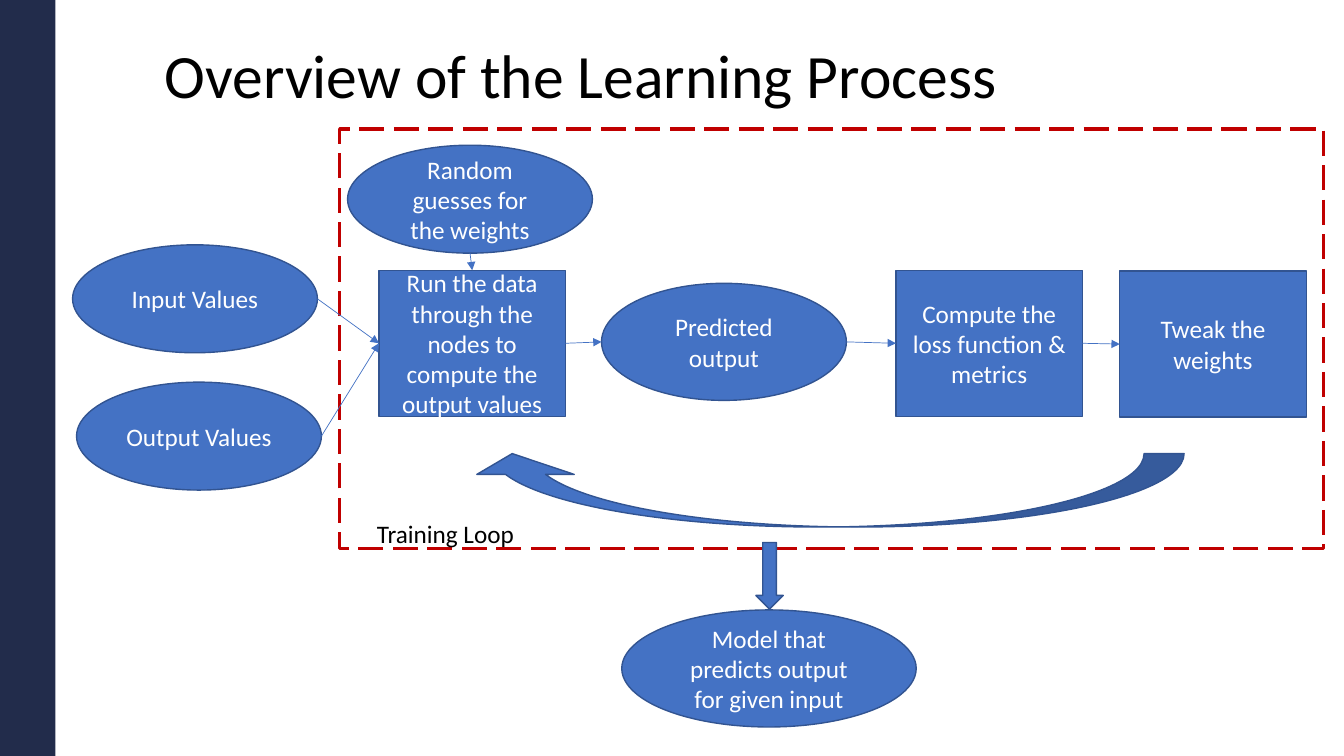
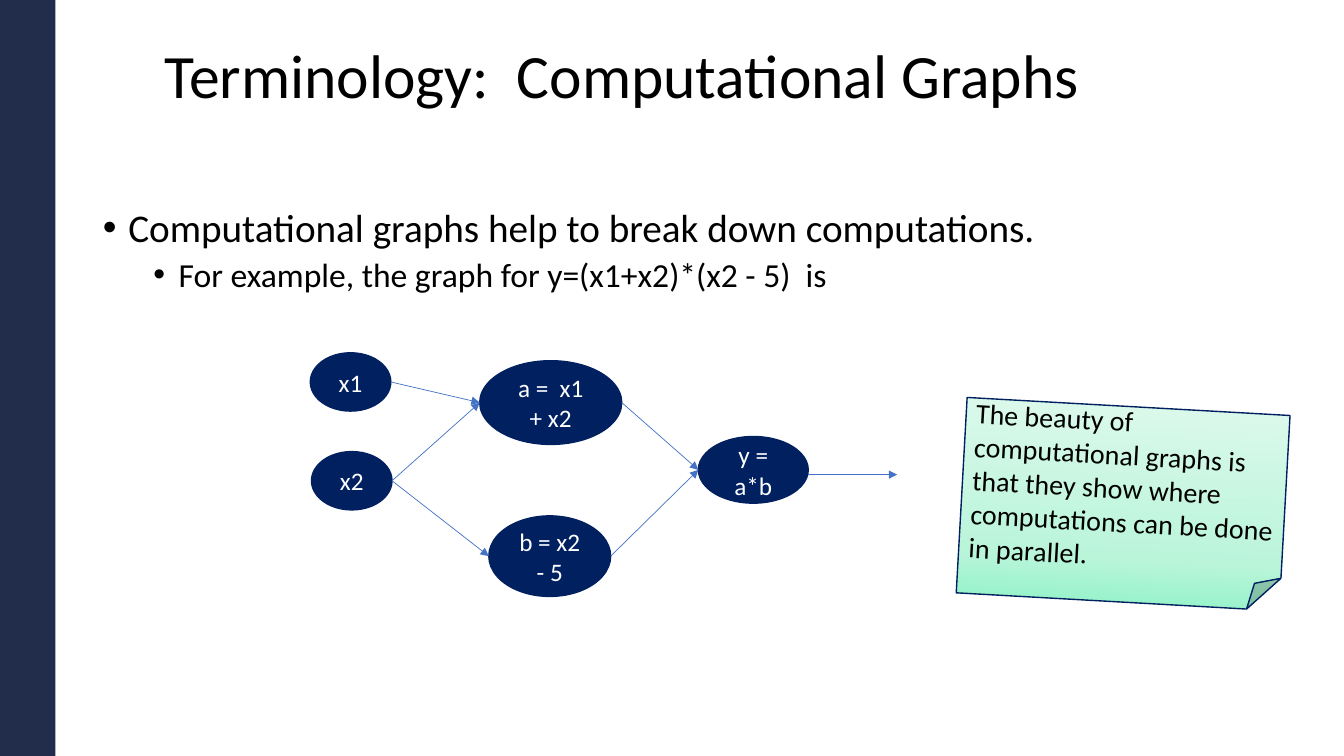
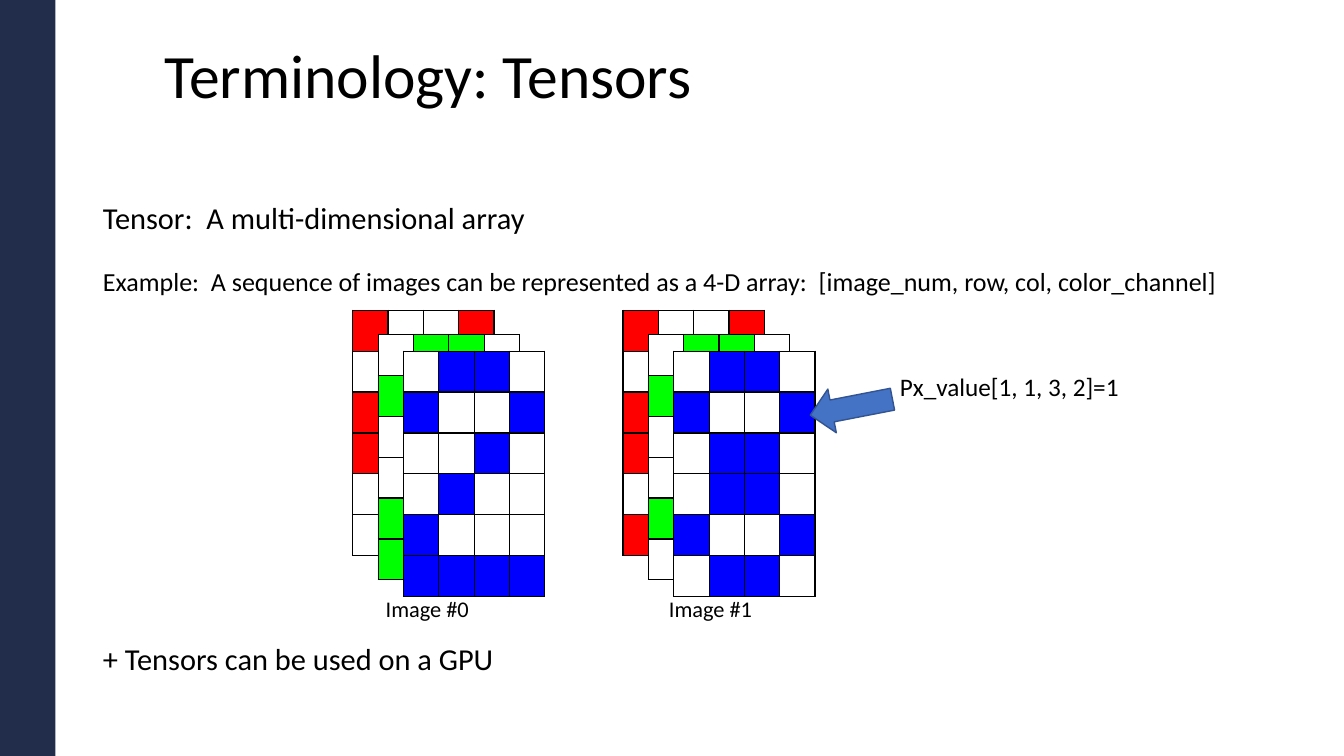
from copy import deepcopy
from dataclasses import dataclass

from lxml.etree import SubElement
from pptx import Presentation
from pptx.dml.color import RGBColor
from pptx.enum.dml import MSO_LINE
from pptx.enum.shapes import MSO_CONNECTOR, MSO_SHAPE as SHAPE
from pptx.enum.text import MSO_ANCHOR as ANCHOR, MSO_AUTO_SIZE, PP_ALIGN as ALIGN
from pptx.oxml.ns import qn
from pptx.util import Cm, Pt


@dataclass(frozen=True)
class Theme:
    font: str = "Calibri"
    ink: str = "000000"
    white: str = "FFFFFF"
    band: str = "222C4B"
    blue: str = "4472C4"
    edge: str = "325491"
    navy: str = "002060"
    loop: str = "C00000"
    note: tuple = ((0, "8CF2C6"), (0.27, "BAF5DA"), (1, "DEF9EC"))
    channels: tuple = ("FF0000", "00FF00", "0000FF")
    title: float = 44
    lead: float = 28
    sub: float = 24
    tensor: float = 21.7
    example: float = 18.6
    note_size: float = 20
    label: float = 18
    caption: float = 16


T = Theme()
rgb = RGBColor.from_string


def write(tf, text, size=T.label, color=T.ink, align=ALIGN.LEFT, line=1.0,
          before=0, level=0, margin=None, hang=0, bullet=None):
    p = tf.add_paragraph() if tf.text else tf.paragraphs[0]
    p.level = level
    if margin is not None:
        pPr = p._p.get_or_add_pPr()
        pPr.set("marL", str(Cm(margin)))
        pPr.set("indent", str(-Cm(hang)))
        if bullet:
            SubElement(pPr, qn("a:buFont")).set("typeface", "Arial")
            SubElement(pPr, qn("a:buChar")).set("char", bullet)
        else:
            SubElement(pPr, qn("a:buNone"))
    p.alignment = align
    p.line_spacing = line
    p.space_before = Pt(before)
    r = p.add_run()
    r.text = text
    r.font.name = T.font
    r.font.size = Pt(size)
    r.font.color.rgb = rgb(color)


def box(s, kind, at, fill=T.blue, edge=T.edge, text="", **fmt):
    sp = s.shapes.add_shape(kind, *map(Cm, at))
    sp.shadow.inherit = False
    if fill:
        sp.fill.solid()
        sp.fill.fore_color.rgb = rgb(fill)
    else:
        sp.fill.background()
    sp.line.color.rgb = rgb(edge)
    sp.line.width = Pt(1)
    if text:
        sp.text_frame.vertical_anchor = ANCHOR.MIDDLE
        write(sp.text_frame, text, **{"color": T.white, "align": ALIGN.CENTER, **fmt})
    return sp


prs = Presentation()
prs.slide_width, prs.slide_height = Cm(33.87), Cm(19.05)

layout = prs.slide_layouts[1]
for ph, at in zip(layout.placeholders, ((3.89, 1.02, 26.67, 3.68), (2.34, 5.13, 29.21, 12.65))):
    ph.left, ph.top, ph.width, ph.height = map(Cm, at)
    ph.text_frame.vertical_anchor = ANCHOR.TOP
    ph.text_frame.auto_size = MSO_AUTO_SIZE.NONE

slides = []
for title in ("Overview of the Learning Process",
              "Terminology:  Computational Graphs",
              "Terminology: Tensors"):
    s = prs.slides.add_slide(layout)
    write(s.shapes.title.text_frame, title, size=T.title, line=0.9)
    slides.append(s)
process, graphs, tensors = slides

band = box(process, SHAPE.RECTANGLE, (0, 0, 1.4, 19.05), T.band, T.band)
band.line.fill.background()
band.element.nvSpPr.cNvPr.set("id", "20")
layout.shapes.element.insert(2, band.element)

body = process.placeholders[1].element
body.getparent().remove(body)

frame = box(process, SHAPE.RECTANGLE, (8.56, 3.25, 24.79, 10.57), None, T.loop)
frame.line.width = Pt(2.25)
frame.line.dash_style = MSO_LINE.LONG_DASH

nodes = {}
for name, kind, at, text in (
    ("model", SHAPE.OVAL, (15.67, 15.37, 7.42, 2.95), "Model that predicts output for given input"),
    ("output", SHAPE.OVAL, (1.93, 9.63, 6.17, 2.72), "Output Values"),
    ("input", SHAPE.OVAL, (1.83, 6.17, 6.17, 2.72), "Input Values"),
    ("random", SHAPE.OVAL, (8.76, 3.66, 6.17, 2.72), "Random guesses for the weights"),
    ("run", SHAPE.RECTANGLE, (9.55, 6.81, 4.7, 3.68),
     "Run the data through the nodes to compute the output values"),
    ("predicted", SHAPE.OVAL, (15.16, 7.14, 6.17, 2.95), "Predicted output"),
    ("loss", SHAPE.RECTANGLE, (22.58, 6.81, 4.7, 3.68), "Compute the loss function & metrics"),
    ("tweak", SHAPE.RECTANGLE, (28.22, 6.83, 4.7, 3.68), "Tweak the weights"),
):
    nodes[name] = box(process, kind, at, text=text)

box(process, SHAPE.DOWN_ARROW, (19.05, 13.67, 0.69, 1.68))
back = box(process, SHAPE.CURVED_DOWN_ARROW, (11.68, 11.43, 18.16, 1.85))
back.rotation = 180
for i, value in enumerate((0.545, 1.327, 0.283)):
    back.adjustments[i] = value

tf = graphs.placeholders[1].text_frame
write(tf, "Computational graphs help to break down computations.", size=T.lead,
      line=0.9, margin=0.64, hang=0.64, bullet="•")
write(tf, "For example, the graph for y=(x1+x2)*(x2 - 5)  is", size=T.sub,
      line=0.9, before=5, level=1, margin=1.91, hang=0.64, bullet="•")

for name, at, text in (
    ("x1", (7.82, 8.89, 2.03, 1.47), "x1"),
    ("x2", (7.85, 11.38, 2.03, 1.47), "x2"),
    ("a", (12.09, 9.09, 3.58, 2.11), "a =  x1 + x2"),
    ("b", (12.32, 13, 3.07, 2.03), "b = x2 - 5"),
    ("y", (17.6, 11, 2.77, 1.68), "y = a*b"),
):
    nodes[name] = box(graphs, SHAPE.OVAL, at, T.navy, T.navy, text)

TOP, LEFT, BOTTOM, RIGHT = range(4)
side_at = ((0.5, 0), (0, 0.5), (0.5, 1), (1, 0.5))
arrows = []
for s, start, start_side, end, end_side in (
    (process, "input", RIGHT, "run", LEFT),
    (process, "output", RIGHT, "run", LEFT),
    (process, "random", BOTTOM, "run", TOP),
    (process, "run", RIGHT, "predicted", LEFT),
    (process, "predicted", RIGHT, "loss", LEFT),
    (process, "loss", RIGHT, "tweak", LEFT),
    (graphs, "x1", RIGHT, "a", LEFT),
    (graphs, "x2", RIGHT, "a", LEFT),
    (graphs, "x2", RIGHT, "b", LEFT),
    (graphs, "a", RIGHT, "y", LEFT),
    (graphs, "b", RIGHT, "y", LEFT),
):
    points = []
    for name, side in ((start, start_side), (end, end_side)):
        sp, (fx, fy) = nodes[name], side_at[side]
        points += [int(sp.left + sp.width * fx), int(sp.top + sp.height * fy)]
    arrow = s.shapes.add_connector(MSO_CONNECTOR.STRAIGHT, *points)
    if nodes[start].auto_shape_type == SHAPE.RECTANGLE:
        arrow.begin_connect(nodes[start], start_side)
    if nodes[end].auto_shape_type == SHAPE.RECTANGLE:
        arrow.end_connect(nodes[end], end_side)
    arrows.append(arrow)
arrows.append(graphs.shapes.add_connector(
    MSO_CONNECTOR.STRAIGHT, *map(Cm, (20.37, 11.96, 22.61, 11.96))))
for arrow in arrows:
    arrow.line.color.rgb = rgb(T.blue)
    arrow.line.width = Pt(0.5)
    SubElement(arrow.line._get_or_add_ln(), qn("a:tailEnd")).set("type", "triangle")
    SubElement(arrow.element.spPr, qn("a:effectLst"))

note = box(graphs, SHAPE.FOLDED_CORNER, (24.23, 10.24, 8.15, 4.93), edge=T.navy,
           text="The beauty of computational graphs is that they show where "
                "computations can be done in parallel.",
           size=T.note_size, color=T.ink, align=ALIGN.LEFT)
note.rotation = 3.2
note.fill.gradient()
note.fill.gradient_angle = 90
stops = note.element.spPr.find(".//" + qn("a:gsLst"))
stops.append(deepcopy(stops[-1]))
for stop, (position, color) in zip(note.fill.gradient_stops, T.note):
    stop.position = position
    stop.color.rgb = rgb(color)

tf = tensors.placeholders[1].text_frame
for text, size, before in (
    ("Tensor:  A multi-dimensional array", T.tensor, 0),
    ("Example:  A sequence of images can be represented as a 4-D array:  "
     "[image_num, row, col, color_channel]", T.example, 28.4),
    ("+ Tensors can be used on a GPU", T.tensor, 253),
):
    write(tf, text, size=size, before=before, line=0.7, margin=0)

two = (".XX.", "X..X", "..X.", ".X..", "X...", "XXXX")
two_inverse = ("X..X", ".XX.", "XX.X", "X.XX", ".XXX", "....")
eight = (".XX.", "X..X", ".XX.", ".XX.", "X..X", ".XX.")
eight_inverse = ("X..X", ".XX.", "X..X", "X..X", ".XX.", "X..X")
col_width, row_height = 0.89, 1.03
for left, layers in ((8.89, (two_inverse, two, two)),
                     (15.7, (eight_inverse, eight, eight))):
    for layer, color, dx, dy in zip(layers, T.channels, (0, 0.64, 1.28), (0, 0.61, 1.03)):
        table = tensors.shapes.add_table(
            6, 4, Cm(left + dx), Cm(7.82 + dy), Cm(4 * col_width), Cm(6 * row_height)).table
        table.first_row = table.horz_banding = False
        for col in table.columns:
            col.width = Cm(col_width)
        for row, marks in zip(table.rows, layer):
            row.height = Cm(row_height)
            for cell, mark in zip(row.cells, marks):
                tcPr = cell._tc.get_or_add_tcPr()
                for edge in ("a:lnL", "a:lnR", "a:lnT", "a:lnB"):
                    ln = SubElement(tcPr, qn(edge))
                    ln.set("w", str(Pt(1)))
                    solid = SubElement(ln, qn("a:solidFill"))
                    SubElement(solid, qn("a:srgbClr")).set("val", T.ink)
                cell.fill.solid()
                cell.fill.fore_color.rgb = rgb(color if mark == "X" else T.white)

pointer = box(tensors, SHAPE.RIGHT_ARROW, (20.4, 9.7, 2.11, 1.12))
pointer.rotation = 169

for s, at, text, size in (
    (process, (9.25, 12.93, 7.01, 1.02), "Training Loop", T.label),
    (tensors, (9.47, 14.88, 2.64, 0.94), "Image #0", T.caption),
    (tensors, (16.61, 14.88, 2.64, 0.94), "Image #1", T.caption),
    (tensors, (22.43, 9.22, 6.1, 1.8), "Px_value[1, 1, 3, 2]=1", T.label),
):
    tf = s.shapes.add_textbox(*map(Cm, at)).text_frame
    tf.word_wrap = True
    write(tf, text, size=size)

prs.save("out.pptx")
